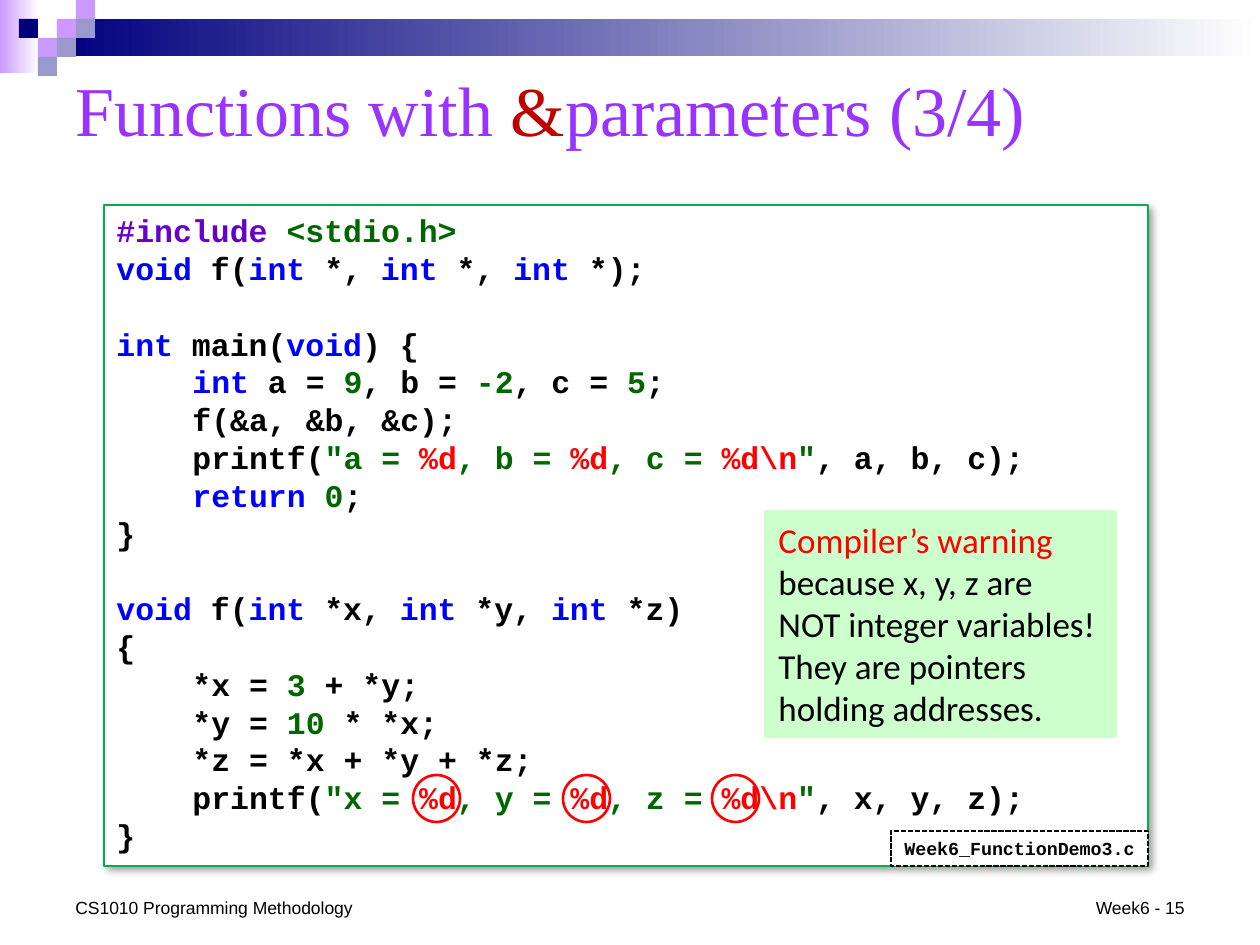
from lxml.etree import SubElement
from pptx import Presentation
from pptx.dml.color import RGBColor
from pptx.enum.dml import MSO_LINE
from pptx.enum.shapes import MSO_SHAPE
from pptx.enum.text import MSO_ANCHOR, PP_ALIGN
from pptx.oxml.ns import qn
from pptx.util import Emu, Pt

BLACK = RGBColor(0x00, 0x00, 0x00)
WHITE = RGBColor(0xFF, 0xFF, 0xFF)
NAVY = RGBColor(0x00, 0x00, 0x7D)
LILAC = RGBColor(0xCC, 0x99, 0xFF)
SLATE = RGBColor(0x99, 0x99, 0xCC)
VIOLET = RGBColor(0x99, 0x33, 0xFF)
PURPLE = RGBColor(0x66, 0x00, 0xCC)
BLUE = RGBColor(0x00, 0x00, 0xFF)
GREEN = RGBColor(0x00, 0x66, 0x00)
RED = RGBColor(0xFF, 0x00, 0x00)
CRIMSON = RGBColor(0xC0, 0x00, 0x00)
BORDER = RGBColor(0x00, 0xB0, 0x50)
MINT = RGBColor(0xCC, 0xFF, 0xCC)

INKS = {"k": BLACK, "b": BLUE, "g": GREEN, "r": RED, "p": PURPLE,
        "v": VIOLET, "c": CRIMSON}
MONO, SANS, SERIF, LABEL = "Courier New", "Calibri", "Times New Roman", "Arial"


def px(count):
    return Emu(round(count * 914400 / 126))


class Page:
    def __init__(self, slide):
        self.slide = slide

    def place(self, shape, box):
        shape.left, shape.top, shape.width, shape.height = map(px, box)

    def shape(self, box, fill=None, line=None, width=1, kind=MSO_SHAPE.RECTANGLE):
        shape = self.slide.shapes.add_shape(kind, *map(px, box))
        shape.shadow.inherit = False
        if fill is None:
            shape.fill.background()
        else:
            shape.fill.solid()
            shape.fill.fore_color.rgb = fill
        if line is None:
            shape.line.fill.background()
        else:
            shape.line.color.rgb = line
            shape.line.width = Pt(width)
        return shape

    def fade(self, box, start):
        shape = self.shape(box)
        shape.fill.gradient()
        shape.fill.gradient_angle = 0
        for stop, color, spot in zip(shape.fill.gradient_stops, (start, WHITE), (0, 1)):
            stop.color.rgb = color
            stop.position = spot

    def shade(self, shape):
        effects = shape._element.spPr.find(qn("a:effectLst"))
        outer = SubElement(effects, qn("a:outerShdw"), blurRad=str(Pt(4)),
                           dist=str(Pt(3)), dir="2700000", algn="tl", rotWithShape="0")
        color = SubElement(outer, qn("a:srgbClr"), val="000000")
        SubElement(color, qn("a:alpha"), val="40000")

    def text(self, shape, lines, font, size, bold=False, align=PP_ALIGN.LEFT,
             anchor=MSO_ANCHOR.TOP, wrap=True):
        frame = shape.text_frame
        frame.word_wrap = wrap
        frame.vertical_anchor = anchor
        for index, line in enumerate(lines):
            para = frame.add_paragraph() if index else frame.paragraphs[0]
            para.alignment = align
            for part in line.split("^")[1:]:
                run = para.add_run()
                run.text = part[1:]
                run.font.name = font
                run.font.size = Pt(size)
                run.font.bold = bold
                run.font.color.rgb = INKS[part[0]]
        return frame.paragraphs

    def code(self, shape, rows):
        paras = self.text(shape, [line for _, _, line in rows], MONO, 18, True)
        for para, (depth, gap, _) in zip(paras, rows):
            para.space_before = Pt(21.6 * gap)
            para._p.get_or_add_pPr().set("marL", str(px(76) * depth))

    def note(self, box, line, align):
        shape = self.slide.shapes.add_textbox(*map(px, box))
        self.text(shape, [line], LABEL, 10, align=align, anchor=MSO_ANCHOR.BOTTOM)

    def title(self, box, line):
        shape = self.slide.shapes.title
        self.place(shape, box)
        self.text(shape, [line], SERIF, 40, anchor=MSO_ANCHOR.MIDDLE)


CODE = [
    (0, 0, "^p#include ^g<stdio.h>"),
    (0, 0, "^bvoid ^kf(^bint^k *, ^bint^k *, ^bint^k *);"),
    (0, 1, "^bint^k main(^bvoid^k) {"),
    (1, 0, "^bint^k a = ^g9^k, b = ^g-2^k, c = ^g5^k;"),
    (1, 0, "^kf(&a, &b, &c);"),
    (1, 0, '^kprintf(^g"a = ^r%d^g, b = ^r%d^g, c = ^r%d\\n^g"^k, a, b, c);'),
    (1, 0, "^breturn ^g0^k;"),
    (0, 0, "^k}"),
    (0, 1, "^bvoid^k f(^bint^k *x, ^bint^k *y, ^bint^k *z)"),
    (0, 0, "^k{"),
    (1, 0, "^k*x = ^g3^k + *y;"),
    (1, 0, "^k*y = ^g10^k * *x;"),
    (1, 0, "^k*z = *x + *y + *z;"),
    (1, 0, '^kprintf(^g"x = ^r%d^g, y = ^r%d^g, z = ^r%d\\n^g"^k, x, y, z);'),
    (0, 0, "^k}"),
]
WARNING = [
    "^rCompiler’s warning",
    "^kbecause x, y, z are NOT integer variables!",
    "^kThey are pointers holding addresses.",
]
TILES = [(3, 1, LILAC), (4, 0, LILAC), (4, 1, SLATE), (2, 2, LILAC),
         (1, 1, NAVY), (3, 2, SLATE), (2, 3, SLATE)]

deck = Presentation()
deck.slide_width, deck.slide_height = px(1260), px(945)
page = Page(deck.slides.add_slide(deck.slide_layouts[5]))

page.fade((0, 0, 39, 73), LILAC)
page.fade((57, 19, 1203, 37), NAVY)
for col, row, color in TILES:
    page.shape((col * 19, row * 19, 19, 19), color)

page.title((63, 53, 1134, 111), "^vFunctions with ^c&^vparameters (3/4)")

panel = page.shape((104, 205, 1044, 661), WHITE, BORDER, 0.75)
page.shade(panel)
page.code(panel, CODE)

label = page.shape((891, 831, 257, 35), WHITE, BLACK)
label.line.dash_style = MSO_LINE.SQUARE_DOT
page.text(label, ["^kWeek6_FunctionDemo3.c"], MONO, 10.5, True,
          PP_ALIGN.CENTER, MSO_ANCHOR.MIDDLE, False)

warning = page.shape((766, 512, 349, 224), MINT, MINT, 2)
page.text(warning, WARNING, SANS, 20)

for left in (413, 563, 712):
    page.shape((left, 775, 47, 47), None, RED, 1.5, MSO_SHAPE.OVAL)

page.note((63, 890, 305, 34), "^kCS1010 Programming Methodology", PP_ALIGN.LEFT)
page.note((1081, 890, 116, 34), "^kWeek6 - 15", PP_ALIGN.RIGHT)

deck.save("out.pptx")
